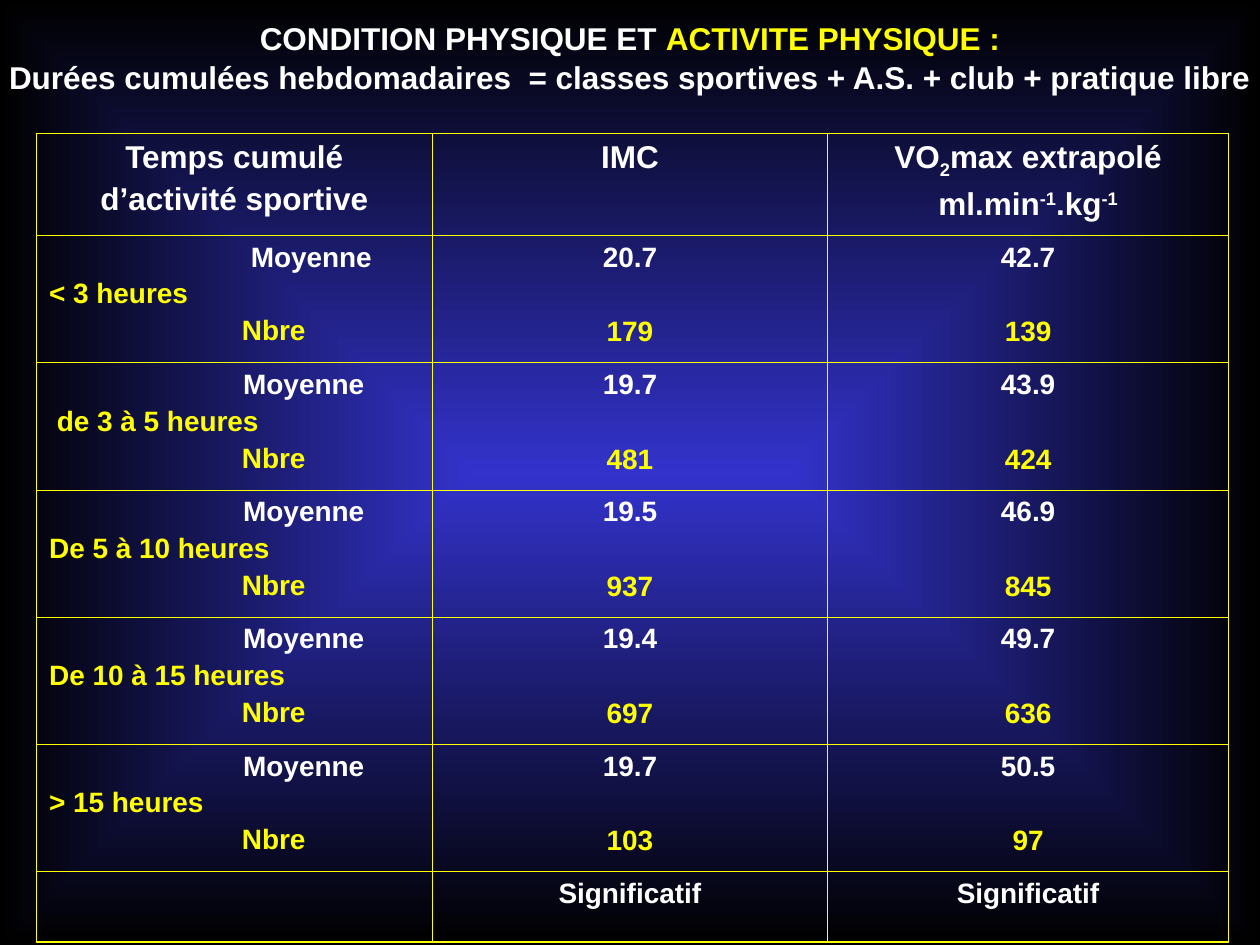
import pptx
import pptx.dml.color
import pptx.enum.text
import pptx.oxml
import pptx.oxml.ns
import pptx.util
from lxml import etree

Inches, Pt = pptx.util.Inches, pptx.util.Pt
RGBColor = pptx.dml.color.RGBColor
Align = pptx.enum.text.PP_ALIGN
qn = pptx.oxml.ns.qn

WHITE = RGBColor(0xFF, 0xFF, 0xFF)
YELLOW = RGBColor(0xFF, 0xFF, 0x00)
BLUE = RGBColor(0x33, 0x33, 0xCC)
BLACK = RGBColor(0x00, 0x00, 0x00)

FONT = "Arial"
TITLE_SIZE, BODY_SIZE = 18, 16
LINE_GAP = 3.3       # space between lines of a body cell, in points
SKIPPED_LINE = 25    # space that leaves one body line empty
OUTER, INNER = 1.08, 0.45
COLUMN_WIDTHS = [3.14, 3.14, 3.18]
ROW_HEIGHTS = [0.81] + [1.01] * 5 + [0.56]
SUBSCRIPT, SUPERSCRIPT = -25, 30

HEADERS = [
    [[("Temps cumulé", 0)], [("d’activité sportive", 0)]],
    [[("IMC", 0)]],
    [[("VO", 0), ("2", SUBSCRIPT), ("max extrapolé", 0)],
     [("ml.min", 0), ("-1", SUPERSCRIPT), (".kg", 0), ("-1", SUPERSCRIPT)]],
]
# Duration, indent of its mean label, then (mean, count) per measure
DURATIONS = [
    ("< 3 heures", 1.6, ("20.7", "179"), ("42.7", "139")),
    (" de 3 à 5 heures", 1.54, ("19.7", "481"), ("43.9", "424")),
    ("De 5 à 10 heures", 1.54, ("19.5", "937"), ("46.9", "845")),
    ("De 10 à 15 heures", 1.54, ("19.4", "697"), ("49.7", "636")),
    ("> 15 heures", 1.54, ("19.7", "103"), ("50.5", "97")),
]
COUNT_INDENT = 1.53


def add_run(paragraph, text, size, color, baseline=0):
    run = paragraph.add_run()
    run.text = text
    run.font.name, run.font.size, run.font.bold = FONT, Pt(size), True
    run.font.color.rgb = color
    if baseline:
        run.font._element.set("baseline", str(baseline * 1000))


def add_paragraph(text_frame, index, alignment, space_before, indent=0):
    paragraph = text_frame.add_paragraph() if index else text_frame.paragraphs[0]
    paragraph.alignment = alignment
    if index:
        paragraph.space_before = Pt(space_before)
    if indent:
        paragraph._p.get_or_add_pPr().set("marL", str(Inches(indent)))
    return paragraph


def set_background(slide):
    fill = slide.background.fill
    fill.gradient()
    for stop, color, position in zip(fill.gradient_stops, (BLUE, BLACK), (0, 1)):
        stop.color.rgb, stop.position = color, position
    gradient = slide.element.find(".//" + qn("a:gradFill"))
    gradient.remove(gradient.find(qn("a:lin")))
    shade = etree.SubElement(gradient, qn("a:path"), path="rect")
    etree.SubElement(shade, qn("a:fillToRect"), l="50000", t="50000", r="50000", b="50000")


def add_title(slide):
    box = slide.shapes.add_textbox(Inches(-0.03), Inches(0.1), Inches(10.06), Inches(0.7))
    text_frame = box.text_frame
    text_frame.word_wrap = False
    lines = [
        [("CONDITION PHYSIQUE ET ", WHITE), ("ACTIVITE PHYSIQUE :", YELLOW)],
        [("Durées cumulées hebdomadaires  = classes sportives"
          " + A.S. + club + pratique libre", WHITE)],
    ]
    for index, runs in enumerate(lines):
        paragraph = add_paragraph(text_frame, index, Align.CENTER, 1)
        for text, color in runs:
            add_run(paragraph, text, TITLE_SIZE, color)


def style_cell(cell, row, column):
    """Yellow borders, thicker on the outside of the table, and no fill."""
    on_edge = {
        "lnL": column == 0,
        "lnR": column == len(COLUMN_WIDTHS) - 1,
        "lnT": row == 0,
        "lnB": row == len(ROW_HEIGHTS) - 1,
    }
    properties = cell._tc.get_or_add_tcPr()
    for side, outside in on_edge.items():
        width = Pt(OUTER if outside else INNER)
        line = etree.SubElement(properties, qn("a:" + side), w=str(width))
        fill = etree.SubElement(line, qn("a:solidFill"))
        etree.SubElement(fill, qn("a:srgbClr"), val=str(YELLOW))
    cell.fill.background()


def fill_header(cell, lines):
    for index, runs in enumerate(lines):
        paragraph = add_paragraph(cell.text_frame, index, Align.CENTER, 3.8)
        for text, baseline in runs:
            add_run(paragraph, text, TITLE_SIZE, WHITE, baseline)


def fill_duration(cell, duration, mean_indent):
    lines = [("Moyenne", WHITE, mean_indent), (duration, YELLOW, 0),
             ("Nbre", YELLOW, COUNT_INDENT)]
    for index, (text, color, indent) in enumerate(lines):
        paragraph = add_paragraph(cell.text_frame, index, Align.LEFT, LINE_GAP, indent)
        add_run(paragraph, text, BODY_SIZE, color)


def fill_values(cell, values):
    for index, (text, color) in enumerate(zip(values, (WHITE, YELLOW))):
        paragraph = add_paragraph(cell.text_frame, index, Align.CENTER, SKIPPED_LINE)
        add_run(paragraph, text, BODY_SIZE, color)


def add_results_table(slide):
    table = slide.shapes.add_table(
        len(ROW_HEIGHTS), len(COLUMN_WIDTHS), Inches(0.29), Inches(1.06),
        Inches(sum(COLUMN_WIDTHS)), Inches(sum(ROW_HEIGHTS))).table
    table.first_row = table.horz_banding = False
    for column, width in zip(table.columns, COLUMN_WIDTHS):
        column.width = Inches(width)
    for row, height in zip(table.rows, ROW_HEIGHTS):
        row.height = Inches(height)
    for row in range(len(ROW_HEIGHTS)):
        for column in range(len(COLUMN_WIDTHS)):
            style_cell(table.cell(row, column), row, column)

    # Header row
    for column, lines in enumerate(HEADERS):
        fill_header(table.cell(0, column), lines)
    # One row per weekly duration
    for row, (duration, mean_indent, *measures) in enumerate(DURATIONS, 1):
        fill_duration(table.cell(row, 0), duration, mean_indent)
        for column, values in enumerate(measures, 1):
            fill_values(table.cell(row, column), values)
    # Significance row
    for column in (1, 2):
        fill_values(table.cell(len(ROW_HEIGHTS) - 1, column), ["Significatif"])


def main():
    presentation = pptx.Presentation()
    presentation.slide_width, presentation.slide_height = Inches(10), Inches(7.5)
    slide = presentation.slides.add_slide(presentation.slide_layouts[6])
    set_background(slide)
    add_results_table(slide)
    add_title(slide)
    presentation.save("out.pptx")


if __name__ == "__main__":
    main()
